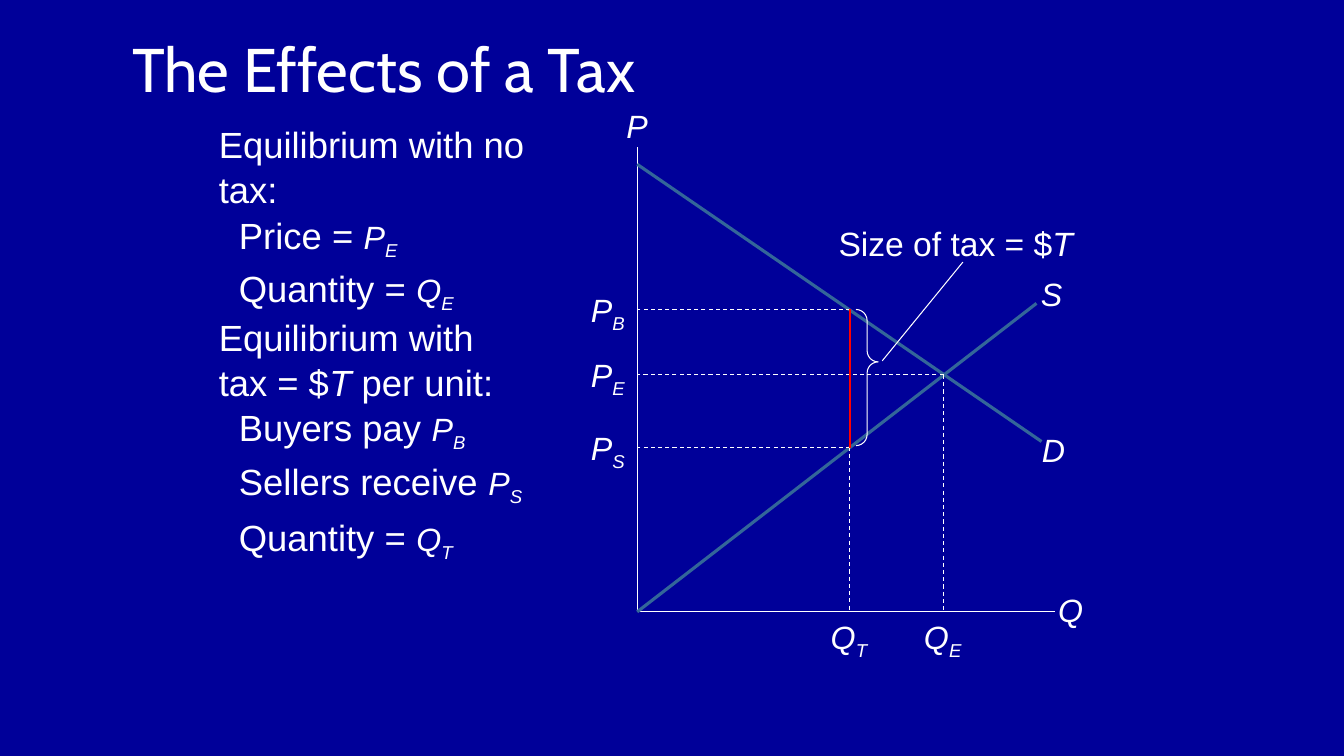
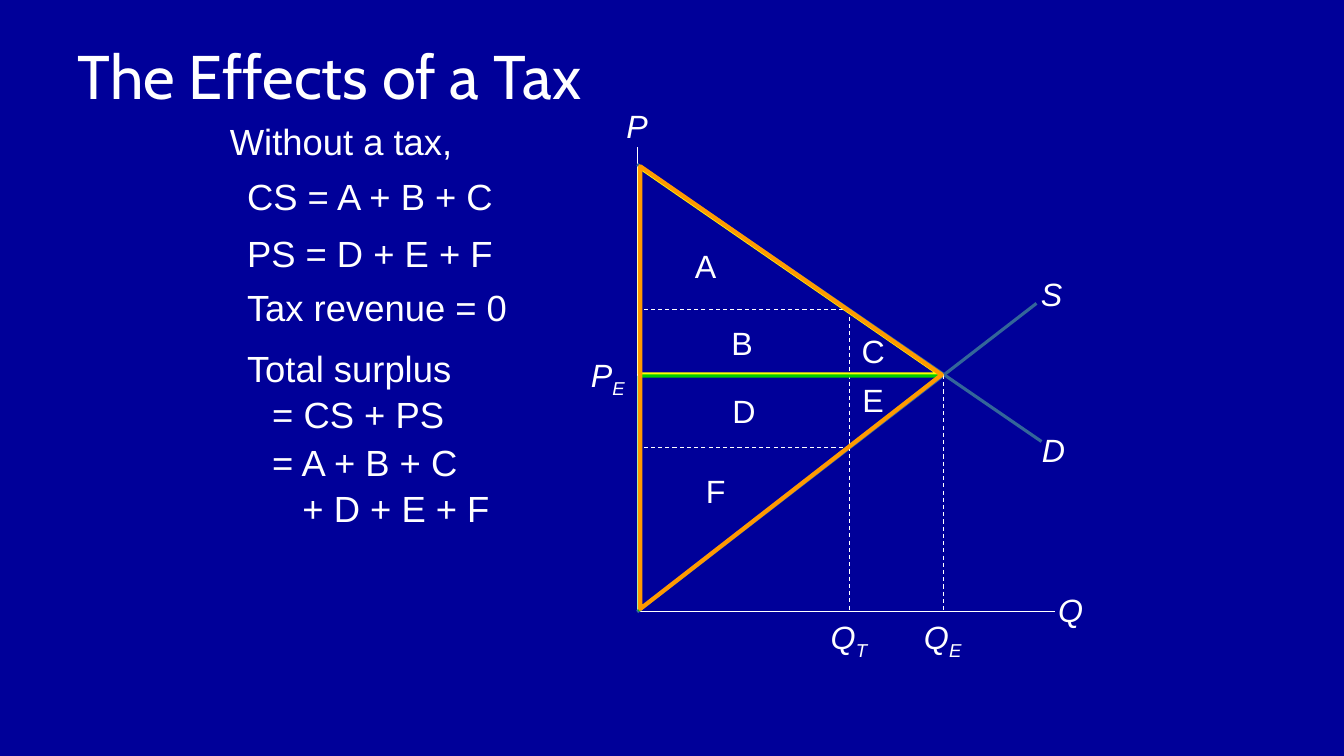
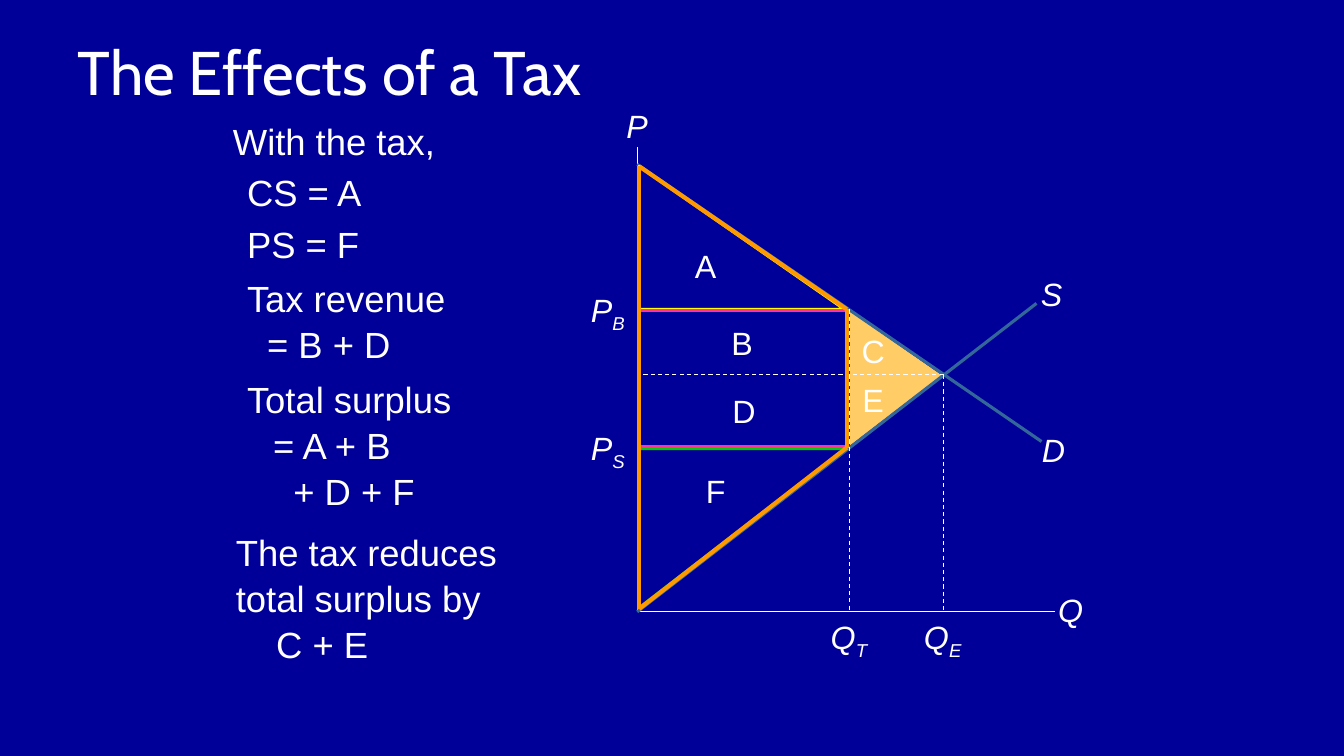
from itertools import pairwise

from lxml import etree
from pptx import Presentation
from pptx import util as u
from pptx.dml.color import RGBColor
from pptx.enum import dml, shapes, text
from pptx.oxml import ns

COLORS = {
    "background": "000099",
    "text": "FFFFFF",
    "curve": "336699",
    "tax": "FF0000",
    "consumer": "FFFF00",
    "producer": "00CC00",
    "revenue": "FF3399",
    "total": "FF9900",
    "loss": "FFCC66",
}
TITLE_FONT = {"name": "Cabin", "size": u.Pt(44)}
NOTE_SIZE, LABEL_SIZE = 26, 23

# Diagram coordinates in inches
AXIS_X, AXIS_Y = 6.32, 6.07
Q_TAX, Q_EQ = 8.43, 9.36
P_BUYER, P_EQ, P_SELLER = 3.07, 3.72, 4.44
EDGE_X = 6.34
PRICES = {"P_B": P_BUYER, "P_E": P_EQ, "P_S": P_SELLER}
QUANTITIES = {"Q_T": Q_TAX, "Q_E": Q_EQ}
AXIS_NAMES = {"P": (6.32, 1.25), "Q": (10.62, 6.05),
              "D": (10.45, 4.46), "S": (10.43, 2.91)}
AREAS = {"A": (7, 2.63), "B": (7.36, 3.4), "C": (8.66, 3.48),
         "D": (7.38, 4.07), "E": (8.66, 3.96), "F": (7.1, 4.87)}

# Notes: space before in points, indent in inches, text with |symbols|
TAX_NOTES = [
    (0, 0, "Equilibrium with no tax:"),
    (4, 0.2, "Price = |P_E|"),
    (6, 0.2, "Quantity = |Q_E|"),
    (0, 0, "Equilibrium with"),
    (0, 0, "tax = $|T| per unit:"),
    (3, 0.2, "Buyers pay |P_B|"),
    (7, 0.2, "Sellers receive |P_S|"),
    (8, 0.2, "Quantity = |Q_T|"),
]
NO_TAX_NOTES = [
    (0, 0, "Without a tax,"),
    (6, 0.17, "CS = A + B + C"),
    (8, 0.17, "PS = D + E + F"),
    (5, 0.17, "Tax revenue = 0"),
    (11, 0.17, "Total surplus"),
    (0, 0.42, "= CS + PS"),
    (1, 0.42, "= A + B + C"),
    (0, 0.72, "+ D + E + F"),
]
WITH_TAX_NOTES = [
    (0, 0, "With the tax,"),
    (3, 0.14, "CS = A"),
    (4, 0.14, "PS = F"),
    (6, 0.14, "Tax revenue"),
    (0, 0.34, "= B + D"),
    (6, 0.14, "Total surplus"),
    (0, 0.4, "= A + B"),
    (0, 0.6, "+ D + F"),
    (10, 0.03, "The tax reduces total surplus by"),
    (0, 0.43, "C + E"),
]


def rgb(color):
    return RGBColor.from_string(COLORS[color])


def apply(target, **values):
    for name, value in values.items():
        setattr(target, name, value)


def add_rich_text(paragraph, content, size):
    """Write text in which |X_Y| is an italic symbol X with subscript Y."""
    for index, part in enumerate(content.split("|")):
        base, _, subscript = part.partition("_")
        for piece, offset in ((base, None), (subscript, "-25000")):
            if not piece:
                continue
            run = paragraph.add_run()
            run.text = piece
            apply(run.font, name="Arial", italic=index % 2 == 1,
                  size=u.Pt(LABEL_SIZE if subscript else size))
            run.font.color.rgb = rgb("text")
            if offset:
                run._r.get_or_add_rPr().set("baseline", offset)


def place(shape, left, top, width, height):
    apply(shape, left=u.Inches(left), top=u.Inches(top),
          width=u.Inches(width), height=u.Inches(height))


def add_label(slide, content, x, y, size=LABEL_SIZE, width=0.64):
    """Centre a label on the point (x, y)."""
    height = 0.48
    label = slide.shapes.add_textbox(*map(u.Inches, (x - width / 2, y - height / 2,
                                                     width, height)))
    label.text_frame.word_wrap = True
    paragraph = label.text_frame.paragraphs[0]
    paragraph.alignment = text.PP_ALIGN.CENTER
    add_rich_text(paragraph, content, size)


def add_line(slide, start, end, color="text", weight=0.75, dashed=False):
    line = slide.shapes.add_connector(shapes.MSO_CONNECTOR.STRAIGHT,
                                      *map(u.Inches, (*start, *end)))
    line.line.color.rgb = rgb(color)
    line.line.width = u.Pt(weight)
    if dashed:
        line.line.dash_style = dml.MSO_LINE.DASH
    etree.SubElement(line._element.spPr, ns.qn("a:effectLst"))


def add_area(slide, kind, box, line=None, weight=2.25, fill=None,
             rotation=0, flip=False, adjust=()):
    area = slide.shapes.add_shape(kind, *map(u.Inches, box))
    area.shadow.inherit = False
    area.rotation = rotation
    for index, value in enumerate(adjust):
        area.adjustments[index] = value
    if fill:
        area.fill.solid()
        area.fill.fore_color.rgb = rgb(fill)
    else:
        area.fill.background()
    if line:
        area.line.color.rgb = rgb(line)
        area.line.width = u.Pt(weight)
    else:
        area.line.fill.background()
    if flip:
        area._element.spPr.find(ns.qn("a:xfrm")).set("flipV", "1")


def add_slide(prs, title_box, notes_at, notes, pitch):
    """Start a slide with its title and the notes at the left of the diagram."""
    slide = prs.slides.add_slide(prs.slide_layouts[1])
    title, body = slide.placeholders
    place(title, *title_box)
    title.text_frame.text = "The Effects of a Tax"
    apply(title.text_frame, vertical_anchor=text.MSO_ANCHOR.MIDDLE,
          auto_size=text.MSO_AUTO_SIZE.NONE)
    heading = title.text_frame.paragraphs[0]
    heading.alignment = text.PP_ALIGN.LEFT
    apply(heading.font, **TITLE_FONT)
    heading.font.color.rgb = rgb("text")

    place(body, *notes_at, 3.3, 5.6)
    frame = body.text_frame
    apply(frame, word_wrap=True, auto_size=text.MSO_AUTO_SIZE.NONE,
          vertical_anchor=text.MSO_ANCHOR.TOP)
    for index, (before, indent, content) in enumerate(notes):
        paragraph = frame.add_paragraph() if index else frame.paragraphs[0]
        properties = paragraph._p.get_or_add_pPr()
        properties.set("marL", str(u.Inches(indent)))
        properties.set("indent", "0")
        etree.SubElement(properties, ns.qn("a:buNone"))
        apply(paragraph, line_spacing=u.Pt(pitch), space_before=u.Pt(before))
        add_rich_text(paragraph, content, NOTE_SIZE)
    return slide


def add_diagram(slide, prices):
    """Draw axes, curves and guides, and label the given prices."""
    origin = (AXIS_X, AXIS_Y)
    add_line(slide, (AXIS_X, 1.46), origin)
    add_line(slide, origin, (10.46, AXIS_Y))
    add_line(slide, (AXIS_X, 1.63), (10.33, 4.38), "curve", 2.25)
    add_line(slide, origin, (10.28, 3.01), "curve", 2.25)
    for name, (x, y) in AXIS_NAMES.items():
        add_label(slide, f"|{name}|", x, y)
    for name, y in PRICES.items():
        end = Q_EQ if name == "P_E" else Q_TAX
        add_line(slide, (end, y), (AXIS_X, y), dashed=True)
        if name in prices:
            add_label(slide, f"|{name}|", 6.03, y)
    for name, x in QUANTITIES.items():
        top = P_EQ if name == "Q_E" else P_BUYER
        add_line(slide, (x, top), (x, AXIS_Y), dashed=True)
        add_label(slide, f"|{name}|", x - 0.01, 6.31)


def add_area_names(slide):
    for name, (x, y) in AREAS.items():
        add_label(slide, name, x, y)


def add_surpluses(slide, consumer_box, producer_box):
    triangle = shapes.MSO_SHAPE.RIGHT_TRIANGLE
    add_area(slide, triangle, consumer_box, "consumer")
    add_area(slide, triangle, producer_box, "producer", flip=True)


def build_tax_slide(prs):
    slide = add_slide(prs, (1.21, 0.32, 11.46, 0.7), (2.07, 1.15), TAX_NOTES, 32)
    add_diagram(slide, PRICES)
    add_line(slide, (Q_TAX, P_BUYER), (Q_TAX, P_SELLER), "tax", 1.5)
    add_area(slide, shapes.MSO_SHAPE.LEFT_BRACE, (8.49, P_BUYER, 0.22, 1.35),
             "text", 0.75, rotation=180, adjust=(0.504, 0.615))
    add_label(slide, "Size of tax = $|T|", 9.48, 2.4, size=24, width=2.8)
    add_line(slide, (8.75, 3.58), (9.55, 2.6))


def build_no_tax_slide(prs):
    slide = add_slide(prs, (0.67, 0.32, 12, 0.85), (2.18, 1.11), NO_TAX_NOTES, 33)
    add_diagram(slide, ["P_E"])
    add_area_names(slide)
    add_surpluses(slide, (EDGE_X, 1.66, 2.97, 2.05), (EDGE_X, 3.73, 2.98, 2.32))
    add_area(slide, shapes.MSO_SHAPE.ISOSCELES_TRIANGLE, (5.65, 2.35, 4.39, 2.99),
             "total", 3, rotation=90, adjust=[0.471])


def build_with_tax_slide(prs):
    slide = add_slide(prs, (0.67, 0.32, 12, 0.76), (2.21, 1.11), WITH_TAX_NOTES, 33)
    add_area(slide, shapes.MSO_SHAPE.ISOSCELES_TRIANGLE, (8.22, 3.3, 1.33, 0.91),
             fill="loss", rotation=90, adjust=[0.476])
    add_diagram(slide, ["P_B", "P_S"])
    add_area_names(slide)
    add_surpluses(slide, (EDGE_X, 1.65, 2.04, 1.42), (EDGE_X, 4.45, 2.05, 1.58))
    add_area(slide, shapes.MSO_SHAPE.RECTANGLE, (EDGE_X, 3.08, 2.07, 1.35), "revenue")
    corners = [(EDGE_X, 1.65), (EDGE_X, 6.04), (8.4, P_SELLER), (8.4, P_BUYER)]
    for start, end in pairwise(corners + corners[:1]):
        add_line(slide, start, end, "total", 3)


def main():
    prs = Presentation()
    apply(prs, slide_width=u.Inches(13.33), slide_height=u.Inches(7.5))
    backdrop = prs.slide_master.background.fill
    backdrop.solid()
    backdrop.fore_color.rgb = rgb("background")
    build_tax_slide(prs)
    build_no_tax_slide(prs)
    build_with_tax_slide(prs)
    prs.save("out.pptx")


if __name__ == "__main__":
    main()
